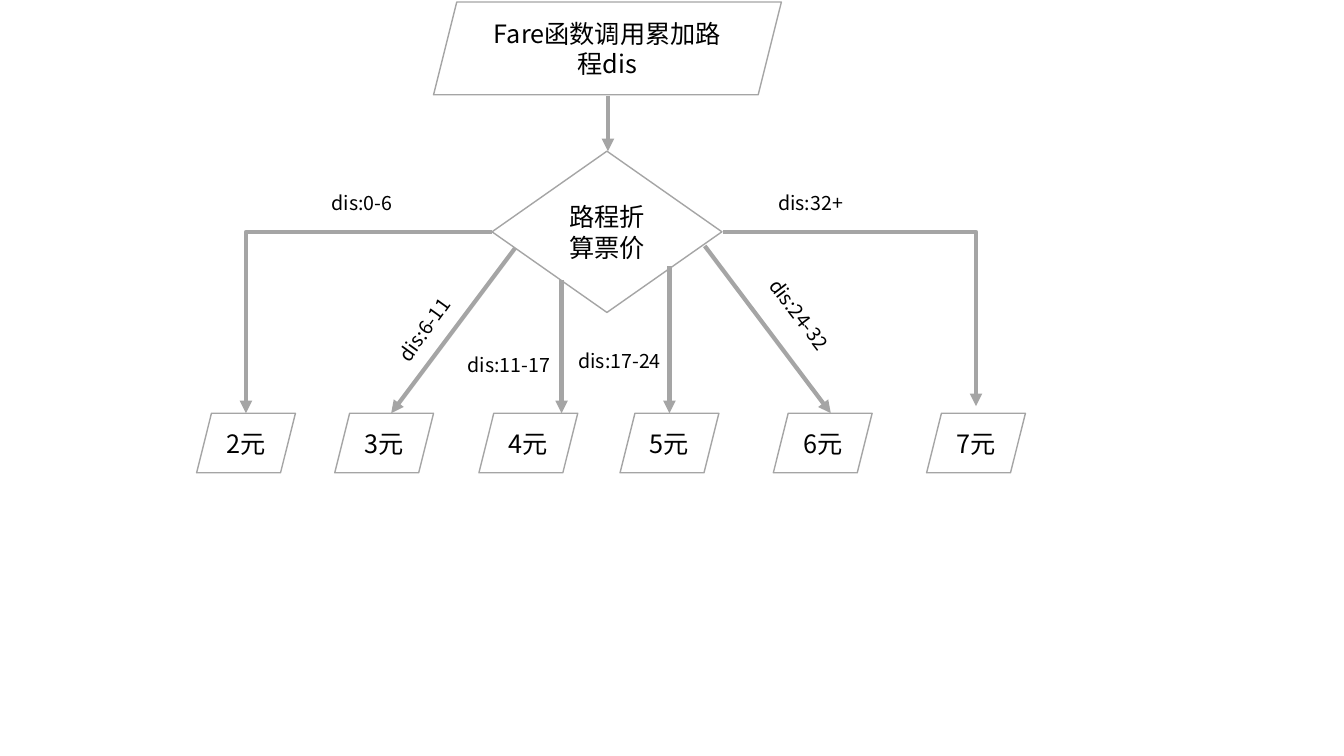
import pptx
import pptx.util
import pptx.dml.color
import pptx.enum.shapes
import pptx.enum.text
import pptx.oxml
import pptx.oxml.ns

Inches = pptx.util.Inches
WHITE = pptx.dml.color.RGBColor(0xFF, 0xFF, 0xFF)
BLACK = pptx.dml.color.RGBColor(0x00, 0x00, 0x00)
GREY = pptx.dml.color.RGBColor(0xA5, 0xA5, 0xA5)
FONT = "Noto Sans CJK SC"
KIND = pptx.enum.shapes.MSO_SHAPE
LINK = pptx.enum.shapes.MSO_CONNECTOR
ALIGN = pptx.enum.text.PP_ALIGN
qn = pptx.oxml.ns.qn


def make(tag, attrs=""):
    space = pptx.oxml.ns.nsdecls("a")
    return pptx.oxml.parse_xml(f"<a:{tag} {space} {attrs}/>")


class Chart:
    """Flow chart on one slide, with its style."""

    def __init__(self, slide):
        self.shapes = slide.shapes
        self.big = {"size": pptx.util.Pt(18), "name": FONT}
        self.small = {"size": pptx.util.Pt(14), "name": FONT}

    def put_text(self, shape, text, form, align):
        para = shape.text_frame.paragraphs[0]
        para.alignment = align
        run = para.add_run()
        run.text = text
        for key, value in form.items():
            setattr(run.font, key, value)
        run.font.color.rgb = BLACK
        latin = run.font._element.find(qn("a:latin"))
        latin.addnext(make("ea", f'typeface="{FONT}"'))

    def node(self, kind, box, text):
        shape = self.shapes.add_shape(kind, *map(Inches, box))
        shape.shadow.inherit = False
        shape.fill.solid()
        shape.fill.fore_color.rgb = WHITE
        shape.line.color.rgb = GREY
        shape.line.width = pptx.util.Pt(1)
        self.put_text(shape, text, self.big, ALIGN.CENTER)

    def arrow(self, start, end, bent=False):
        kind = LINK.ELBOW if bent else LINK.STRAIGHT
        link = self.shapes.add_connector(kind, *map(Inches, start + end))
        link.line.color.rgb = GREY
        link.line.width = pptx.util.Pt(3)
        props = link._element.spPr
        if bent:  # a single corner: across, then down
            props.find(qn("a:prstGeom")).set("prst", "bentConnector2")
        line = props.find(qn("a:ln"))
        line.append(make("tailEnd", 'type="triangle"'))
        line.addnext(make("effectLst"))

    def label(self, left, top, width, text, align=ALIGN.CENTER, turn=0):
        box = self.shapes.add_textbox(*map(Inches, (left, top, width, 0.34)))
        box.rotation = turn
        box.text_frame.word_wrap = True
        box.text_frame.auto_size = pptx.enum.text.MSO_AUTO_SIZE.SHAPE_TO_FIT_TEXT
        self.put_text(box, text, self.small, align)


def main():
    deck = pptx.Presentation()
    deck.slide_width, deck.slide_height = Inches(13.33), Inches(7.5)
    chart = Chart(deck.slides.add_slide(deck.slide_layouts[6]))

    # Input and decision
    chart.node(KIND.PARALLELOGRAM, (4.3, 0.02, 3.45, 0.92), "Fare函数调用累加路程dis")
    chart.arrow((6.03, 0.95), (6.03, 1.5))
    chart.node(KIND.DIAMOND, (4.88, 1.5, 2.28, 1.6), "路程折算票价")

    # Fares
    for fare, left in enumerate((1.95, 3.32, 4.75, 6.15, 7.67, 9.19), 2):
        chart.node(KIND.PARALLELOGRAM, (left, 4.1, 0.98, 0.59), f"{fare}元")

    # Branches
    chart.arrow((4.88, 2.3), (2.44, 4.1), bent=True)
    chart.arrow((7.17, 2.3), (9.68, 4.03), bent=True)
    for start, foot in (((5.11, 2.46), 3.88), ((5.57, 2.78), 5.57),
                        ((6.64, 2.64), 6.64), ((6.99, 2.44), 8.24)):
        chart.arrow(start, (foot, 4.1))

    # Distance ranges
    chart.label(2.69, 1.84, 1.8, "dis:0-6")
    chart.label(3.31, 3.1, 1.8, "dis:6-11", turn=305.8)
    chart.label(4.54, 3.45, 1.44, "dis:11-17", ALIGN.LEFT)
    chart.label(5.22, 3.41, 1.85, "dis:17-24")
    chart.label(7, 2.95, 1.85, "dis:24-32", turn=52.8)
    chart.label(7.62, 1.84, 2.21, "dis:32+", ALIGN.LEFT)

    deck.save("out.pptx")


if __name__ == "__main__":
    main()
